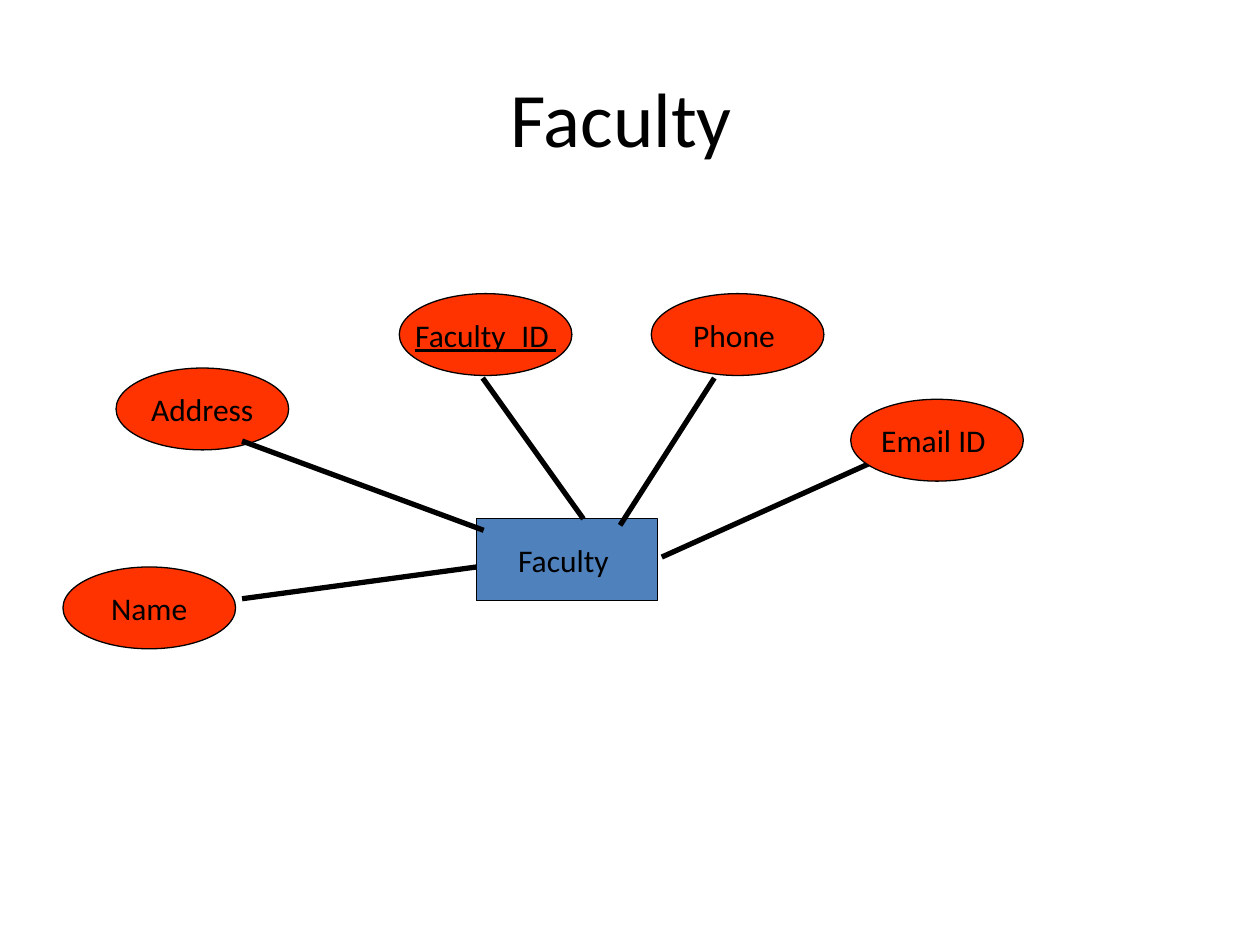
"""Build the Faculty entity slide with its five attributes."""
import lxml.etree
import pptx
import pptx.dml.color
import pptx.enum.shapes
import pptx.enum.text
import pptx.oxml.ns
import pptx.util

Cm = pptx.util.Cm
Pt = pptx.util.Pt
Kind = pptx.enum.shapes.MSO_SHAPE
INK = {"black": "000000", "blue": "4F81BD", "red": "FF3300"}


def write(shape, words, size, under=None):
    frame = shape.text_frame
    frame.vertical_anchor = pptx.enum.text.MSO_ANCHOR.MIDDLE
    para = frame.paragraphs[0]
    para.alignment = pptx.enum.text.PP_ALIGN.CENTER
    run = para.add_run()
    run.text = words
    run.font.name = "Calibri"
    run.font.size = Pt(size)
    run.font.underline = under
    run.font.color.rgb = pptx.dml.color.RGBColor.from_string(INK["black"])


def node(kind, left, top, width, fill, words, under=None):
    shape = slide.shapes.add_shape(kind, Cm(left), Cm(top), Cm(width), Cm(1.65))
    shape.shadow.inherit = False
    shape.fill.solid()
    shape.fill.fore_color.rgb = pptx.dml.color.RGBColor.from_string(INK[fill])
    shape.line.color.rgb = pptx.dml.color.RGBColor.from_string(INK["black"])
    shape.line.width = Pt(0.75)
    shape.text_frame.word_wrap = False
    write(shape, words, 18, under)


deck = pptx.Presentation()
deck.slide_width = Cm(25.4)
deck.slide_height = Cm(19.05)
slide = deck.slides.add_slide(deck.slide_layouts[6])

title = slide.shapes.add_textbox(Cm(1.27), Cm(0.76), Cm(22.86), Cm(3.18))
title.text_frame.word_wrap = True
write(title, "Faculty ", 44)

node(Kind.RECTANGLE, 9.6, 10.46, 3.66, "blue", "Faculty ")
for left, top, words, under in [
    (2.34, 7.42, "Address", None),
    (8.05, 5.92, "Faculty_ID ", True),
    (1.27, 11.43, "Name", None),
    (13.13, 5.92, "Phone ", None),
]:
    node(Kind.OVAL, left, top, 3.48, "red", words, under)

for ends in [
    (4.88, 12.07, 9.6, 11.43),
    (4.88, 8.89, 9.75, 10.69),
    (9.73, 7.62, 11.76, 10.46),
    (14.4, 7.62, 12.5, 10.59),
    (13.34, 11.23, 17.58, 9.32),
]:
    link = slide.shapes.add_connector(
        pptx.enum.shapes.MSO_CONNECTOR.STRAIGHT, *[Cm(end) for end in ends]
    )
    link.line.color.rgb = pptx.dml.color.RGBColor.from_string(INK["black"])
    link.line.width = Pt(3)
    lxml.etree.SubElement(link._element.spPr, pptx.oxml.ns.qn("a:effectLst"))

node(Kind.OVAL, 17.15, 8.05, 3.48, "red", "Email ID ")

deck.save("out.pptx")
